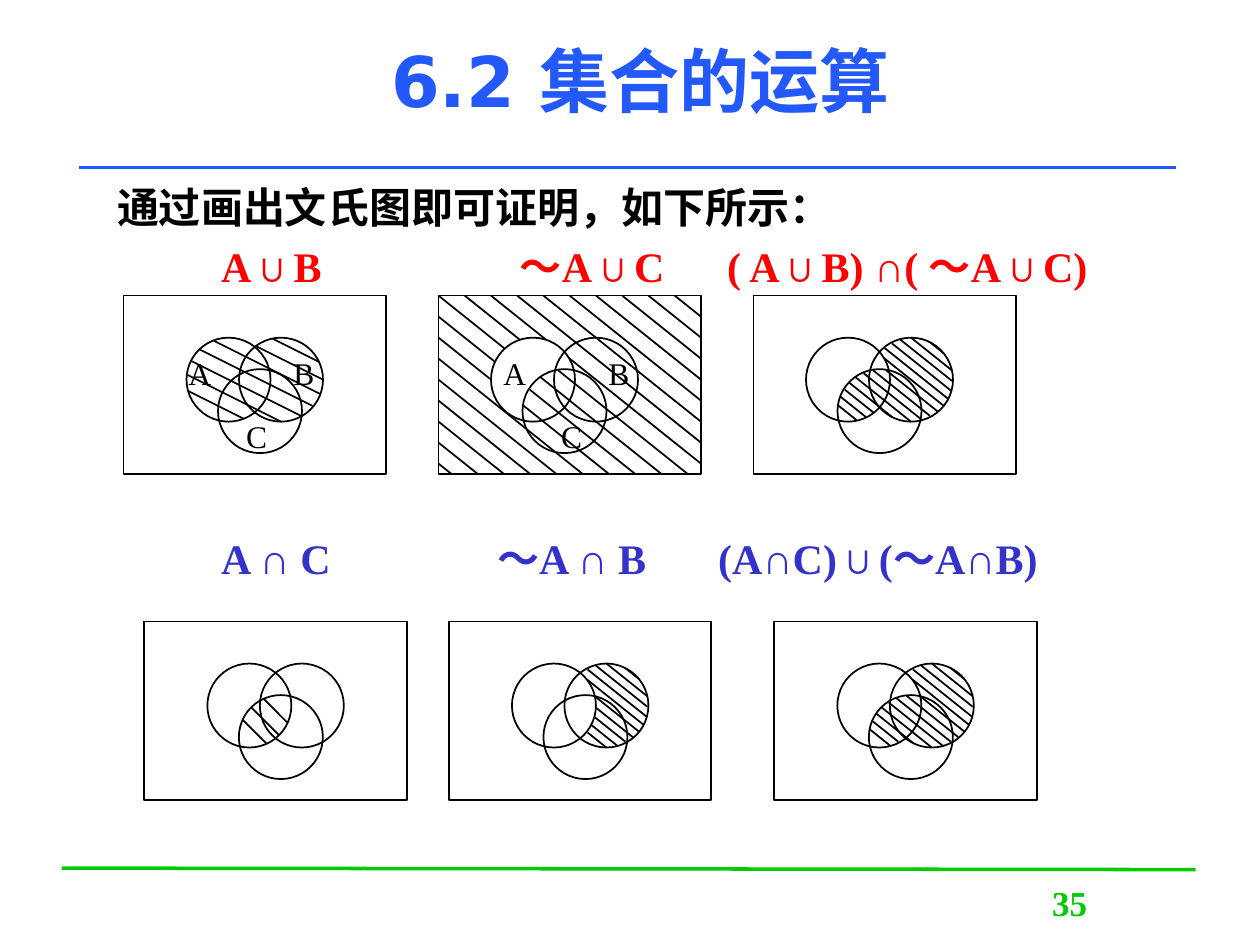
from dataclasses import dataclass
from itertools import groupby
from math import ceil, hypot

from lxml.etree import SubElement
from pptx import Presentation
from pptx.dml.color import RGBColor
from pptx.enum.shapes import MSO_CONNECTOR as CONN, MSO_SHAPE as SHAPE
from pptx.enum.text import MSO_ANCHOR as ANCHOR, PP_ALIGN as ALIGN
from pptx.oxml.ns import qn
from pptx.util import Cm, Pt


@dataclass(frozen=True)
class Theme:
    black: str = "000000"
    blue: str = "2359FB"
    green: str = "00CB00"
    red: str = "FF0000"
    indigo: str = "3333CC"
    serif: str = "Times New Roman"
    sans: str = "DejaVu Sans"
    title: int = 40
    body: int = 24
    number: int = 20
    label: int = 18
    rule: int = 2
    thin: int = 1


T = Theme()

# Venn panels are drawn on a grid of 1/12 inch
GRID = 2.54 / 12
PANEL_W, PANEL_H, RADIUS = 25, 17, 4
NARROW = {"A": (6, 4), "B": (11, 4), "C": (9, 7)}
WIDE = {"A": (5, 4), "B": (11, 4), "C": (8, 7)}
LABELS = {"A": (5, 5), "B": (15, 5), "C": (10.5, 11)}
TOP_1, TOP_2 = 5.96, 12.53

# Left and top (cm), circles, labels, hatched set, slope and gap of hatching
PANELS = [
    (2.49, TOP_1, NARROW, LABELS, lambda a, b, c: a or b, 0.5, 1.5),
    (8.84, TOP_1, WIDE, LABELS, lambda a, b, c: not a or c, 0.8, 2),
    (15.19, TOP_1, WIDE, {},
     lambda a, b, c: (a or b) and (not a or c), 0.8, 1),
    (2.91, TOP_2, NARROW, {}, lambda a, b, c: a and c, 1, 2),
    (9.05, TOP_2, NARROW, {}, lambda a, b, c: not a and b, 0.8, 1),
    (15.61, TOP_2, NARROW, {},
     lambda a, b, c: (a and c) or (not a and b), 0.8, 1),
]

# Body lines: text, colour, space before (pt), tab stops (cm)
BODY = [
    ("通过画出文氏图即可证明，如下所示：", T.black, 4.8, []),
    ("\tA∪B\t～A∪C\t( A∪B) ∩( ～A∪C)", T.red, 4.8, [2.1, 8.12, 12.3]),
    ("\tA ∩ C\t～A ∩ B\t(A∩C)∪(～A∩B)", T.indigo, 138.5,
     [2.1, 7.66, 12.12]),
]


def add_run(p, text, size, color, font=T.serif, bold=True):
    r = p.add_run()
    r.text = text
    r.font.size, r.font.name, r.font.bold = Pt(size), font, bold
    r.font.color.rgb = RGBColor.from_string(color)


def add_text_frame(shapes, x, y, w, h, anchor=ANCHOR.TOP):
    tf = shapes.add_textbox(Cm(x), Cm(y), Cm(w), Cm(h)).text_frame
    tf.word_wrap = True
    tf.vertical_anchor = anchor
    return tf


def add_line(shapes, x1, y1, x2, y2, color=T.black, width=T.thin):
    sp = shapes.add_connector(CONN.STRAIGHT, Cm(x1), Cm(y1), Cm(x2), Cm(y2))
    sp.line.color.rgb = RGBColor.from_string(color)
    sp.line.width = Pt(width)
    SubElement(sp._element.spPr, qn("a:effectLst"))


def add_outline(shapes, kind, x, y, w, h):
    sp = shapes.add_shape(kind, Cm(x), Cm(y), Cm(w), Cm(h))
    sp.shadow.inherit = False
    sp.fill.background()
    sp.line.color.rgb = RGBColor.from_string(T.black)
    sp.line.width = Pt(T.thin)


def set_tabs(p, stops):
    tabs = SubElement(p._p.get_or_add_pPr(), qn("a:tabLst"))
    for stop in stops:
        SubElement(tabs, qn("a:tab"), pos=str(int(Cm(stop))), algn="l")


def add_body(shapes):
    tf = add_text_frame(shapes, 2.11, 3.53, 21.59, 16.08)
    for i, (text, color, before, stops) in enumerate(BODY):
        p = tf.add_paragraph() if i else tf.paragraphs[0]
        p.space_before = Pt(before)
        if stops:
            set_tabs(p, stops)
        add_run(p, text, T.body, color)


def hatch_lines(circles, in_set, slope, gap, step=0.1):
    """Yield the pieces of parallel lines that lie inside the set."""
    def is_hatched(x, y):
        inside = [hypot(x - cx - RADIUS, y - cy - RADIUS) <= RADIUS
                  for cx, cy in circles.values()]
        return 0 <= y <= PANEL_H and in_set(*inside)

    xs = [i * step for i in range(round(PANEL_W / step) + 1)]
    reach = ceil(PANEL_W / gap)
    for k in range(-reach, reach):
        points = [(x, slope * x + k * gap) for x in xs]
        for hatched, piece in groupby(points, lambda pt: is_hatched(*pt)):
            piece = list(piece)
            if hatched and piece[-1][0] - piece[0][0] > 1:
                yield piece[0], piece[-1]


def add_venn(shapes, left, top, circles, labels, in_set, slope, gap):
    def at(gx, gy):
        return left + gx * GRID, top + gy * GRID

    group = shapes.add_group_shape().shapes
    add_outline(group, SHAPE.RECTANGLE, left, top,
                PANEL_W * GRID, PANEL_H * GRID)
    size = 2 * RADIUS * GRID
    for corner in circles.values():
        add_outline(group, SHAPE.OVAL, *at(*corner), size, size)
    for start, end in hatch_lines(circles, in_set, slope, gap):
        add_line(group, *at(*start), *at(*end))
    for name, corner in labels.items():
        tf = add_text_frame(group, *at(*corner), 0.85, 1.02)
        add_run(tf.paragraphs[0], name, T.label, T.black, bold=False)


def main():
    prs = Presentation()
    prs.slide_width, prs.slide_height = Cm(25.4), Cm(19.05)
    s = prs.slides.add_slide(prs.slide_layouts[6])

    # Rules above and below the content
    add_line(s.shapes, 1.6, 3.38, 23.7, 3.38, T.blue, T.rule)
    add_line(s.shapes, 1.24, 17.5, 24.1, 17.53, T.green, T.rule)

    # Title and page number
    p = add_text_frame(s.shapes, 2.11, 0.71, 21.59, 1.8,
                       ANCHOR.MIDDLE).paragraphs[0]
    p.alignment = ALIGN.CENTER
    add_run(p, "6.2 集合的运算", T.title, T.blue, T.sans)
    p = add_text_frame(s.shapes, 19.56, 17.65, 4.01, 1.27).paragraphs[0]
    p.alignment = ALIGN.CENTER
    add_run(p, "35", T.number, T.green)

    # Statement, captions and diagrams
    add_body(s.shapes)
    for panel in PANELS:
        add_venn(s.shapes, *panel)

    prs.save("out.pptx")


if __name__ == "__main__":
    main()
